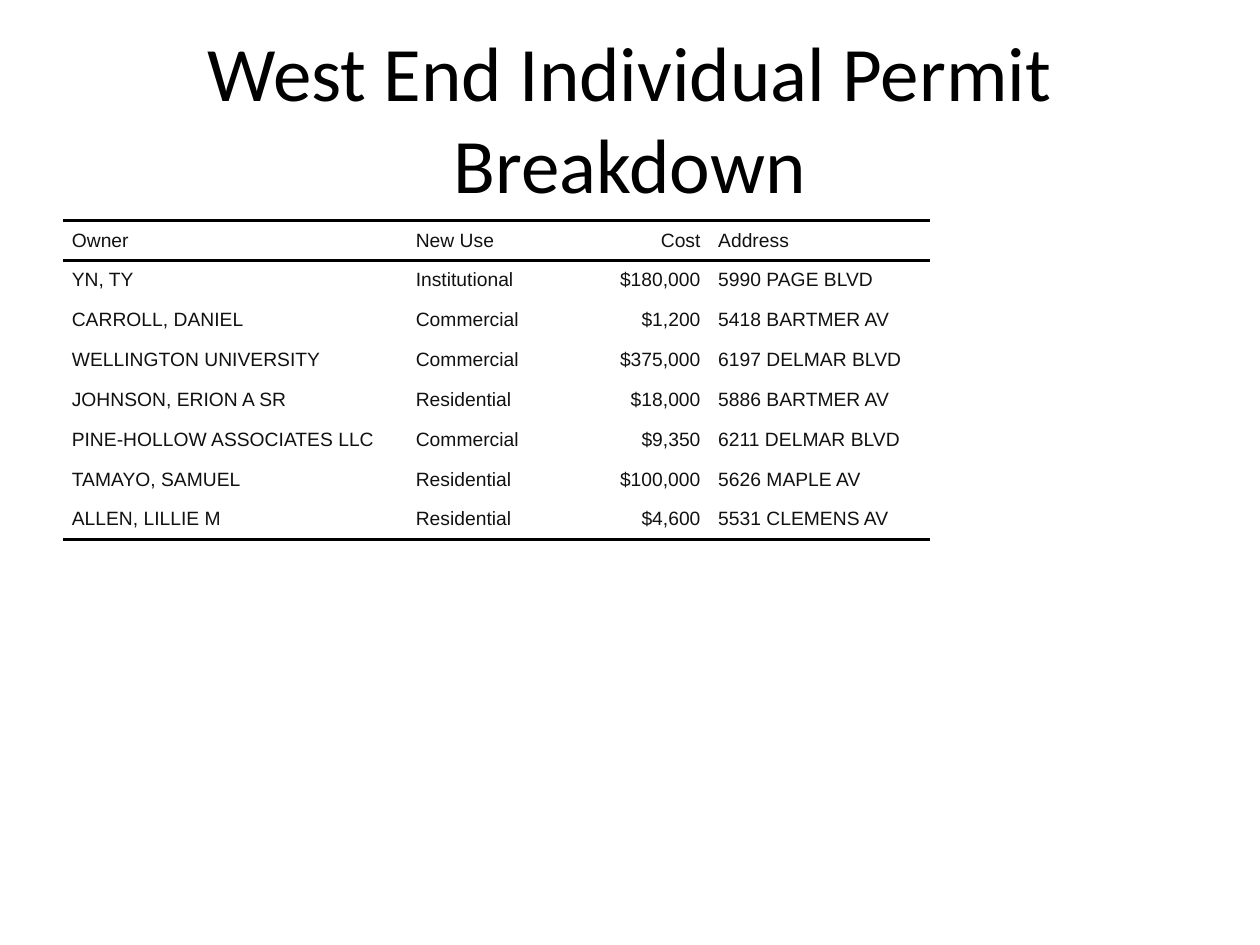
from dataclasses import dataclass

from lxml import etree
from pptx import Presentation
from pptx.dml.color import RGBColor
from pptx.enum.text import MSO_ANCHOR, MSO_AUTO_SIZE, PP_ALIGN
from pptx.oxml.ns import qn
from pptx.util import Inches, Pt

MIDDLE = MSO_ANCHOR.MIDDLE
NO_AUTOFIT = MSO_AUTO_SIZE.NONE
LEFT, CENTER, RIGHT = PP_ALIGN.LEFT, PP_ALIGN.CENTER, PP_ALIGN.RIGHT
TITLE_ONLY = 5
PLAIN_TABLE_STYLE = "{2D5ABB26-0587-4C30-8999-92F81FD0307C}"


@dataclass(frozen=True)
class Theme:
    """Colours, fonts and sizes used on the slide."""

    title_color: str = "000000"
    cell_color: str = "111111"
    rule_color: str = "000000"
    title_font: str = "Calibri"
    cell_font: str = "Arial"
    title_size: int = 44
    cell_size: int = 11
    rule_width: int = 2
    cell_spacing: int = 2
    cell_indent: float = 0.07


THEME = Theme()
COLUMN_WIDTHS = (2.73, 1.1, 1.3, 1.75)
COLUMN_ALIGNMENTS = (LEFT, LEFT, RIGHT, LEFT)
ROWS_HEIGHT = 2.53
PERMITS = (
    ("Owner", "New Use", "Cost", "Address"),
    ("YN, TY", "Institutional", "$180,000", "5990 PAGE BLVD"),
    ("CARROLL, DANIEL", "Commercial", "$1,200", "5418 BARTMER AV"),
    ("WELLINGTON UNIVERSITY", "Commercial", "$375,000", "6197 DELMAR BLVD"),
    ("JOHNSON, ERION A SR", "Residential", "$18,000", "5886 BARTMER AV"),
    ("PINE-HOLLOW ASSOCIATES LLC", "Commercial", "$9,350", "6211 DELMAR BLVD"),
    ("TAMAYO, SAMUEL", "Residential", "$100,000", "5626 MAPLE AV"),
    ("ALLEN, LILLIE M", "Residential", "$4,600", "5531 CLEMENS AV"),
)


def style_font(font, name, size, color):
    """Set the typeface, size and colour of a font."""
    font.name = name
    font.size = Pt(size)
    font.color.rgb = RGBColor.from_string(color)


def add_title(page, text):
    """Place and format the title placeholder."""
    title = page.shapes.title
    title.left, title.top = Inches(0.5), Inches(0.3)
    title.width, title.height = Inches(9), Inches(1.25)
    frame = title.text_frame
    frame.text = text
    frame.word_wrap = True
    frame.auto_size = NO_AUTOFIT
    frame.vertical_anchor = MIDDLE
    para = frame.paragraphs[0]
    para.alignment = CENTER
    style_font(para.runs[0].font, THEME.title_font, THEME.title_size, THEME.title_color)


def add_rule(cell, side):
    """Draw a solid rule on one side of a cell."""
    properties = cell._tc.get_or_add_tcPr()
    line = etree.SubElement(properties, qn(f"a:{side}"), w=str(Pt(THEME.rule_width)))
    fill = etree.SubElement(line, qn("a:solidFill"))
    etree.SubElement(fill, qn("a:srgbClr"), val=THEME.rule_color)


def fill_cell(cell, text, alignment, sides):
    """Write one table cell with its rules."""
    cell.margin_left = cell.margin_right = cell.margin_top = cell.margin_bottom = 0
    cell.vertical_anchor = MIDDLE
    for side in sides:
        add_rule(cell, side)
    cell.fill.background()
    cell.text_frame.text = text
    para = cell.text_frame.paragraphs[0]
    para.alignment = alignment
    para.space_before = para.space_after = Pt(THEME.cell_spacing)
    properties = para._p.get_or_add_pPr()
    for margin in ("marL", "marR"):
        properties.set(margin, str(Inches(THEME.cell_indent)))
    properties.set("indent", "0")
    style_font(para.runs[0].font, THEME.cell_font, THEME.cell_size, THEME.cell_color)


def add_permit_table(page):
    """Build the permit table, ruled around the header and at the foot."""
    width, height = Inches(9), Inches(4.95)
    holder = page.shapes.add_table(
        len(PERMITS), len(COLUMN_WIDTHS), Inches(0.5), Inches(1.75), width, height
    )
    table = holder.table
    table.first_row = table.horz_banding = False
    table._tbl.tblPr.find(qn("a:tableStyleId")).text = PLAIN_TABLE_STYLE
    for column, column_width in zip(table.columns, COLUMN_WIDTHS):
        column.width = Inches(column_width)
    for row in table.rows:
        row.height = Inches(ROWS_HEIGHT / len(PERMITS))
    holder.width, holder.height = width, height
    rules = {0: ("lnT", "lnB"), len(PERMITS) - 1: ("lnB",)}
    for index, permit in enumerate(PERMITS):
        cells = table.rows[index].cells
        for cell, text, alignment in zip(cells, permit, COLUMN_ALIGNMENTS):
            fill_cell(cell, text, alignment, rules.get(index, ()))


def main():
    """Build and save the slide."""
    deck = Presentation()
    deck.slide_width, deck.slide_height = Inches(10), Inches(7.5)
    page = deck.slides.add_slide(deck.slide_layouts[TITLE_ONLY])
    add_title(page, "West End Individual Permit Breakdown")
    add_permit_table(page)
    deck.save("out.pptx")


if __name__ == "__main__":
    main()
